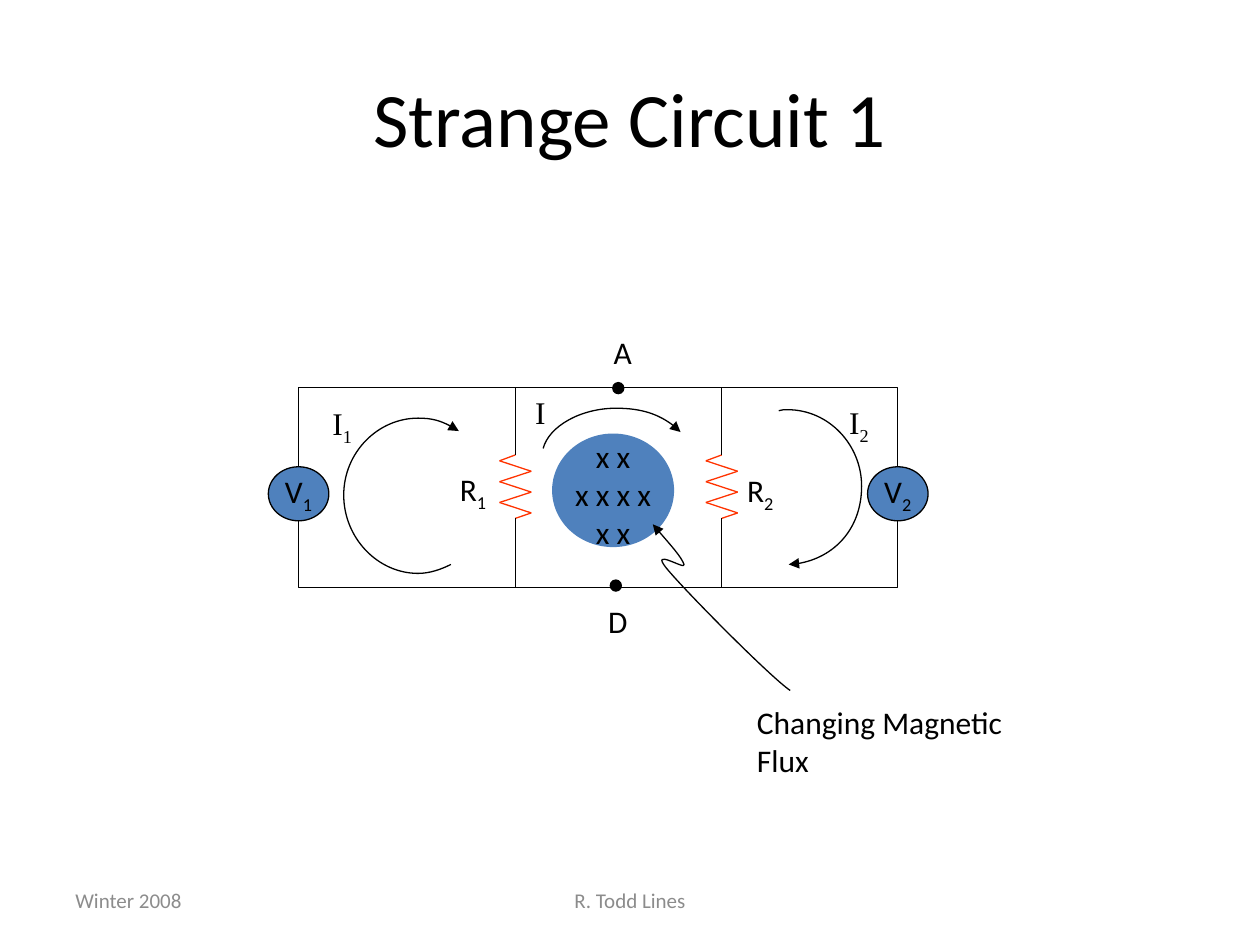
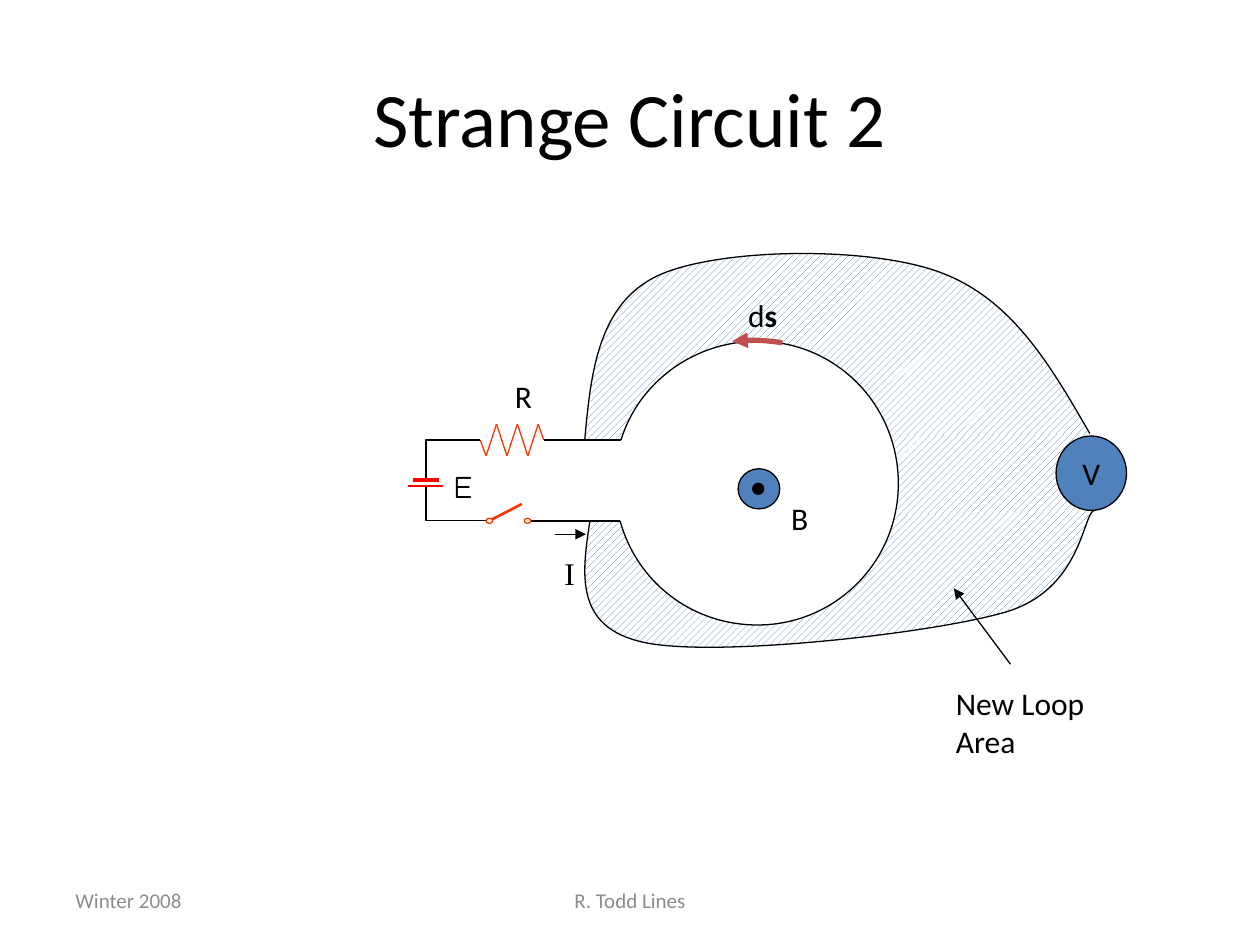
from itertools import pairwise

from pptx import Presentation
from pptx import util as u
from pptx.dml import color as dml
from pptx.enum import dml as patterns, shapes, text
from pptx.oxml import ns, xmlchemy

BLACK, WHITE, BLUE = "000000", "FFFFFF", "4F81BD"
ORANGE, RED, BRICK, GREY = "FF3300", "FF0000", "C0504D", "8C8C8C"
LEFT, CENTER = text.PP_ALIGN.LEFT, text.PP_ALIGN.CENTER


def rgb(value):
    return dml.RGBColor.from_string(value)


def write(frame, words, sub="", bold="", size=18, font="Calibri", color=BLACK,
          align=LEFT, anchor=text.MSO_ANCHOR.TOP, wrap=True):
    frame.word_wrap = wrap
    frame.vertical_anchor = anchor
    for number, line_words in enumerate(words.split("\n")):
        para = frame.add_paragraph() if number else frame.paragraphs[0]
        para.alignment = align
        for part in filter(None, (line_words, sub, bold)):
            span = para.add_run()
            span.text = part
            span.font.size = u.Pt(size)
            span.font.name = font
            span.font.color.rgb = rgb(color)
            if part == sub:
                span.font._element.set("baseline", "-25000")
            if part == bold:
                span.font.bold = True


def label(page, words, left, top, width, height=0.94, **style):
    box = page.shapes.add_textbox(u.Cm(left), u.Cm(top), u.Cm(width), u.Cm(height))
    write(box.text_frame, words, **style)


def stroke(item, color, width, head=False, tail=False):
    item.line.color.rgb = rgb(color)
    item.line.width = u.Pt(width)
    outline = item.line._get_or_add_ln()
    for tag, wanted in (("a:headEnd", head), ("a:tailEnd", tail)):
        if wanted:
            end = xmlchemy.OxmlElement(tag)
            end.set("type", "triangle")
            outline.append(end)


def line(holder, start, end, color=BLACK, width=0.75, corner=False, **ends):
    kind = shapes.MSO_CONNECTOR.ELBOW if corner else shapes.MSO_CONNECTOR.STRAIGHT
    wire = holder.shapes.add_connector(kind, *map(u.Cm, (*start, *end)))
    properties = wire._element.spPr
    if corner:
        properties.find(ns.qn("a:prstGeom")).set("prst", "bentConnector2")
    stroke(wire, color, width, **ends)
    properties.append(xmlchemy.OxmlElement("a:effectLst"))


def circle(page, left, top, width, height, fill=BLUE, edge=None, words="", sub=""):
    disc = page.shapes.add_shape(shapes.MSO_SHAPE.OVAL,
                                 *map(u.Cm, (left, top, width, height)))
    disc.shadow.inherit = False
    disc.fill.solid()
    disc.fill.fore_color.rgb = rgb(fill)
    if edge:
        stroke(disc, edge, 0.75)
    else:
        disc.line.fill.background()
    if words:
        write(disc.text_frame, words, sub=sub, align=CENTER,
              anchor=text.MSO_ANCHOR.MIDDLE, wrap=False)


def dot(page, left, top):
    circle(page, left, top, 0.25, 0.25, fill=BLACK)


def outline(page, points, curved=True, fill=None, hatch=False, color=BLACK,
            width=0.75, **ends):
    start, *rest = [(u.Cm(x), u.Cm(y)) for x, y in points]
    builder = page.shapes.build_freeform(*start)
    builder.add_line_segments(rest, close=not curved)
    form = builder.convert_to_shape()
    form.shadow.inherit = False
    if curved:
        steps = list(form._element.iter(ns.qn("a:lnTo")))
        for first, second, third in zip(steps[::3], steps[1::3], steps[2::3]):
            first.tag = ns.qn("a:cubicBezTo")
            for step in (second, third):
                first.append(step[0])
                step.getparent().remove(step)
    if hatch:
        form.fill.patterned()
        form.fill.pattern = patterns.MSO_PATTERN.WIDE_UPWARD_DIAGONAL
        form.fill.fore_color.rgb = rgb(BLUE)
        form.fill.back_color.rgb = rgb(WHITE)
    elif fill:
        form.fill.solid()
        form.fill.fore_color.rgb = rgb(fill)
    else:
        form.fill.background()
    if color:
        stroke(form, color, width, **ends)
    else:
        form.line.fill.background()


def resistor(page, x, y, upright=True):
    swings = [(0.12 + 0.21 * i, 0.32 if i % 2 else -0.32) for i in range(6)]
    zigzag = [(0, 0), *swings, (1.28, 0)]
    points = [(x + swing, y + along) if upright else (x + along, y - swing)
              for along, swing in zigzag]
    group = page.shapes.add_group_shape()
    for start, end in pairwise(points):
        line(group, start, end, ORANGE)


def add_page(deck, heading):
    page = deck.slides.add_slide(deck.slide_layouts[5])
    title = page.shapes.title
    title.left, title.top, title.width, title.height = map(
        u.Cm, (1.27, 0.76, 22.86, 3.18))
    middle = text.MSO_ANCHOR.MIDDLE
    write(title.text_frame, heading, size=44, align=CENTER, anchor=middle)
    for words, left, width, align in (("Winter 2008", 1.27, 5.92, LEFT),
                                      ("R. Todd Lines", 8.68, 8.04, CENTER)):
        label(page, words, left, 17.65, width, 1.01, size=12, color=GREY,
              align=align, anchor=middle)
    return page


def draw_flux_circuit(page):
    top, bottom = 7.81, 11.85
    resistor_top, resistor_bottom = 9.17, 10.45
    meter_top, meter_width, meter_height = 9.41, 1.22, 1.09
    branches = (10.39, 14.55)

    circle(page, 11.13, 8.74, 2.46, 2.29)
    for number, branch, meter in (("1", branches[0], 6.02), ("2", branches[1], 18.1)):
        resistor(page, branch, resistor_top)
        line(page, (branch, top), (branch, resistor_top))
        line(page, (branch, resistor_bottom), (branch, bottom))
        line(page, (branch, top), (meter, meter_top), corner=True)
        line(page, (branch, bottom), (meter, meter_top + meter_height), corner=True)
        circle(page, meter - meter_width / 2, meter_top, meter_width, meter_height,
               edge=BLACK, words="V", sub=number)
    for level in (top, bottom):
        line(page, (branches[0], level), (branches[1], level))

    label(page, "x x\nx x x x\nx x", 10.9, 8.69, 2.92, 2.29, align=CENTER)
    outline(page, [(13.16, 10.57), (13.44, 10.9), (13.74, 11.23), (13.79, 11.38),
                   (13.84, 11.51), (13.08, 11.02), (13.44, 11.46),
                   (13.79, 11.89), (15.52, 13.64), (15.93, 13.92)], head=True)
    label(page, "Changing Magnetic Flux", 15.01, 14.05, 6.5)

    current_arrows = (
        [(10.95, 9.04), (11.07, 8.59), (11.71, 8.23), (12.42, 8.23),
         (12.95, 8.23), (13.44, 8.41), (13.72, 8.71)],
        [(9.09, 11.38), (8.89, 11.48), (8.66, 11.56), (8.43, 11.56),
         (7.62, 11.56), (6.93, 10.85), (6.93, 9.98),
         (6.93, 9.12), (7.62, 8.43), (8.43, 8.43),
         (8.71, 8.43), (8.99, 8.51), (9.25, 8.69)],
        [(15.7, 8.28), (15.75, 8.26), (15.82, 8.26), (15.88, 8.26),
         (16.71, 8.26), (17.37, 8.97), (17.37, 9.8),
         (17.37, 10.67), (16.71, 11.35), (15.9, 11.38)])
    for points in current_arrows:
        outline(page, points, tail=True)
    for number, left, height, width in (("", 10.54, 7.8, 0.71), ("1", 6.45, 8.03, 0.95),
                                        ("2", 16.87, 8.0, 0.95)):
        label(page, "I", left, height, width, sub=number, font="Times New Roman")

    dot(page, 12.29, 11.68)
    dot(page, 12.34, 7.7)
    label(page, "A", 12.12, 6.58, 0.89)
    label(page, "D", 12.01, 12.01, 0.91)
    label(page, "R", 9.02, 9.35, 1.14, sub="1")
    label(page, "R", 14.81, 9.37, 1.14, sub="2")


def draw_loop_circuit(page):
    top, bottom, battery = 8.87, 10.5, 8.59

    outline(page, [(17.93, 8.59), (18.11, 9.27), (18.14, 9.96), (18.06, 10.49),
                   (21.97, 10.26), (21.95, 8.69)],
            curved=False, hatch=True, color=None)
    outline(page, [(11.79, 8.86), (11.91, 7.49), (12.07, 6.12), (13.26, 5.56),
                   (14.45, 5), (17.5, 4.95), (18.95, 5.49),
                   (20.4, 6.02), (21.18, 7.37), (21.97, 8.74)], hatch=True)
    outline(page, [(11.89, 10.52), (11.73, 11.58), (11.58, 12.65), (12.98, 12.95),
                   (14.38, 13.26), (18.77, 12.78), (20.27, 12.34),
                   (21.79, 11.89), (21.82, 10.41), (22.05, 10.29)], hatch=True)
    outline(page, [(12.52, top), (12.88, 7.7), (14, 6.88), (15.27, 6.88),
                   (16.84, 6.88), (18.11, 8.15), (18.11, 9.75),
                   (18.11, 11.33), (16.84, 12.6), (15.27, 12.6),
                   (13.97, 12.6), (12.85, 11.76), (12.5, bottom)], fill=WHITE)

    resistor(page, 9.68, top, upright=False)
    line(page, (10.96, top), (12.52, top))
    line(page, (9.68, top), (battery, 9.65), corner=True)
    line(page, (9.8, bottom), (battery, 9.8), corner=True)
    line(page, (8.23, 9.8), (8.94, 9.8), RED)
    line(page, (8.33, 9.67), (8.84, 9.67), RED, 2.25)
    line(page, (10.7, bottom), (12.5, bottom))
    line(page, (9.86, bottom), (10.52, 10.16), ORANGE, 1.5)
    for left in (9.8, 10.57):
        circle(page, left, bottom - 0.05, 0.13, 0.1, fill=WHITE, edge=ORANGE)

    label(page, "R", 10.13, 7.47, 0.91)
    label(page, "E", 8.89, 9.3, 0.81, font="Comic Neue")
    label(page, "I", 11.13, 11.05, 0.71, font="Times New Roman")
    line(page, (11.18, 10.77), (11.81, 10.77), tail=True)

    circle(page, 14.88, 9.45, 0.84, 0.81, edge=BLACK)
    dot(page, 15.16, 9.73)
    label(page, "B", 15.7, 9.93, 0.89)
    outline(page, [(14.76, 6.88), (14.88, 6.86), (15.04, 6.86), (15.16, 6.86),
                   (15.37, 6.86), (15.57, 6.88), (15.77, 6.91)],
            color=BRICK, width=3, head=True)
    label(page, "d", 14.83, 5.84, 1.14, bold="s")

    circle(page, 21.29, 8.79, 1.42, 1.5, edge=BLACK, words="V")
    line(page, (19.23, 11.86), (20.37, 13.39), head=True)
    label(page, "New Loop Area", 19.02, 13.67, 4.35)


def main():
    deck = Presentation()
    deck.slide_width, deck.slide_height = u.Cm(25.4), u.Cm(19.05)
    draw_flux_circuit(add_page(deck, "Strange Circuit 1"))
    draw_loop_circuit(add_page(deck, "Strange Circuit 2"))
    deck.save("out.pptx")


main()
